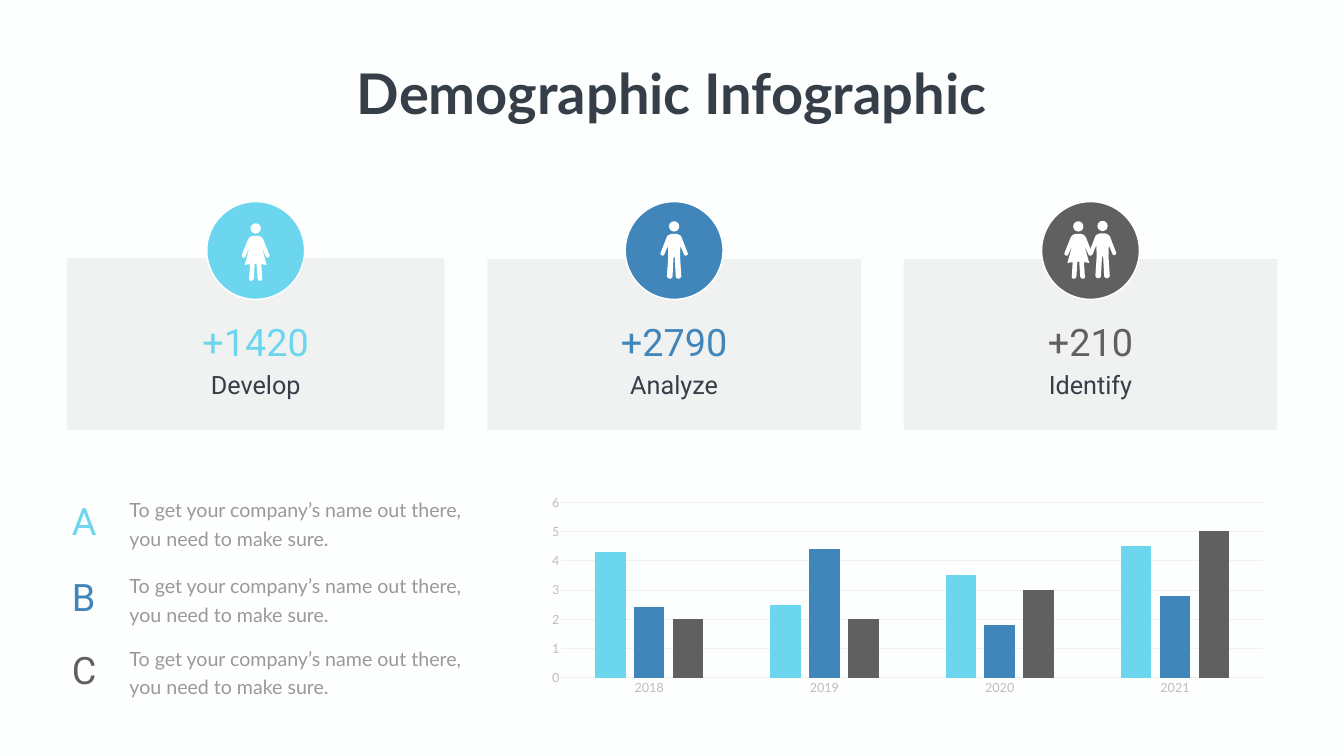
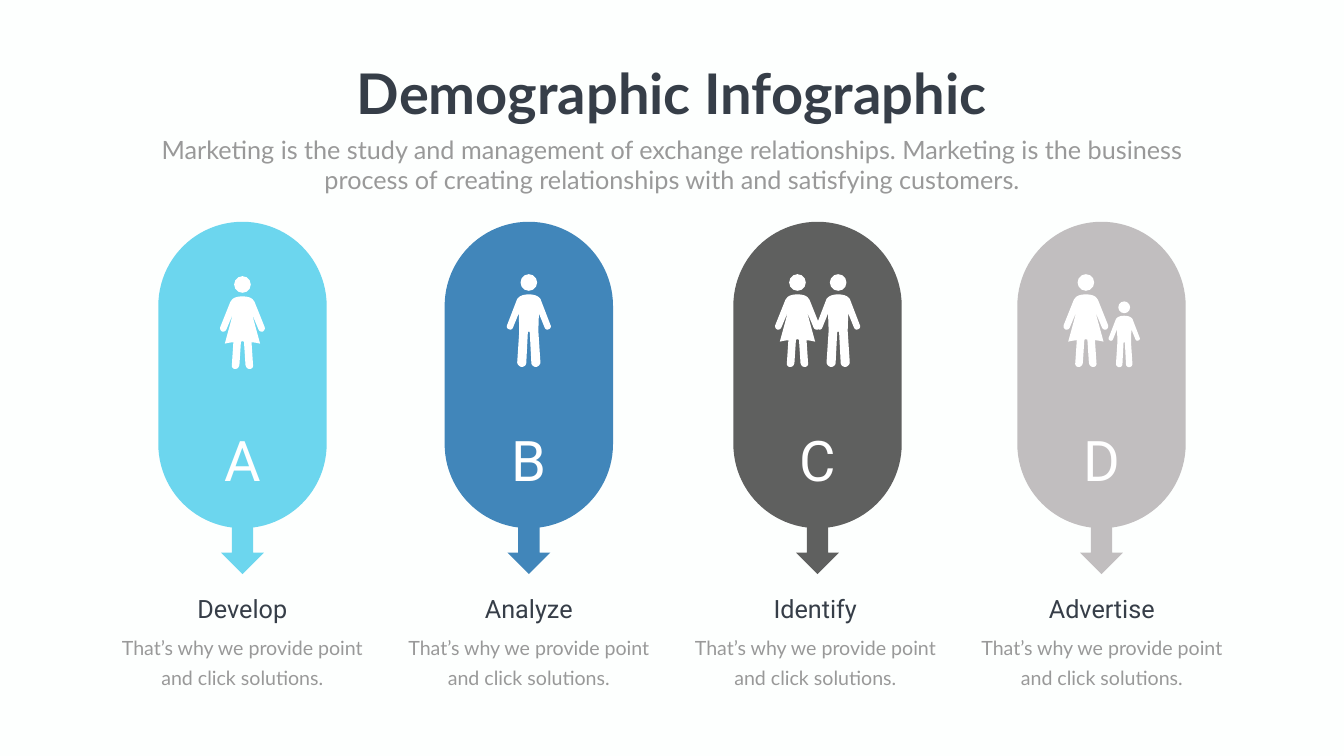
from dataclasses import dataclass

from lxml import etree
from pptx import Presentation
from pptx.chart.data import CategoryChartData
from pptx.dml.color import RGBColor
from pptx.enum.chart import XL_CHART_TYPE, XL_TICK_MARK
from pptx.enum.shapes import MSO_SHAPE
from pptx.enum.text import MSO_AUTO_SIZE, PP_ALIGN
from pptx.oxml.ns import qn
from pptx.util import Pt

COLORS = {
    "background": "FDFFFE",
    "dark": "363E48",
    "body": "999999",
    "axis": "BDBDBD",
    "grid": "F0F0F0",
    "panel": "808080",
    "white": "FFFFFF",
    "cyan": "6CD6EE",
    "blue": "4186BA",
    "gray": "5F605F",
    "silver": "C1BEBF",
}
HEADING_FONT = "Roboto"
BODY_FONT = "Lato"

MAN = [
    (0, 40), (16, 40, 21, 47, 21, 47), (23, 49), (43, 101),
    (45, 104, 43, 108, 40, 109), (37, 110), (34, 110, 32, 108, 31, 105),
    (20, 78), (19, 109), (19, 114), (23, 175),
    (23, 179, 19, 183, 15, 184), (14, 184), (9, 184, 5, 180, 5, 176),
    (2, 117), (2, 117, 2, 114, 0, 114),
]
WOMAN = [
    (0, 40), (17, 40, 21, 47, 21, 47), (24, 51), (44, 101),
    (45, 104, 44, 108, 40, 110), (38, 110), (35, 110, 33, 108, 32, 106),
    (19, 75), (35, 134), (35, 134, 29, 132, 18, 131), (21, 176),
    (22, 180, 19, 184, 15, 184), (14, 184), (10, 184, 7, 181, 6, 176),
    (3, 130), (2, 130, 1, 129, 0, 129),
]
HEAD_SIZE = 33
FIGURE_UNIT = 0.72
CURVE_STEPS = 6


@dataclass
class Figure:
    outline: list
    top: float
    dx: float = 0
    scale: float = 1


@dataclass
class Card:
    center: float
    width: float
    top: float
    color: str
    number: str
    label: str
    figures: list


@dataclass
class Point:
    letter: str
    color: str
    top: float


@dataclass
class Column:
    letter: str
    label: str
    color: str
    center: float
    figures: list


@dataclass
class TextStyle:
    size: float
    color: str
    font: str = BODY_FONT
    bold: bool = False
    align: PP_ALIGN = PP_ALIGN.CENTER
    spacing: float | None = None


TITLE = TextStyle(80, "dark", bold=True)
SUBTITLE = TextStyle(36, "body")
LABEL = TextStyle(36, "dark", HEADING_FONT)
POINT_TEXT = TextStyle(28, "body", align=PP_ALIGN.LEFT, spacing=40.8)
CAPTION = TextStyle(28, "body", spacing=43)
PILL_LETTER = TextStyle(80, "white", HEADING_FONT)

CARDS = [
    Card(365.2, 539.28, 368.64, "cyan", "+1420", "Develop",
         [Figure(WOMAN, 318.96, scale=0.62)]),
    Card(962.8, 533.52, 370.08, "blue", "+2790", "Analyze",
         [Figure(MAN, 316.08, scale=0.62)]),
    Card(1557.5, 533.52, 370.08, "gray", "+210", "Identify",
         [Figure(MAN, 315.4, 17.2, 0.62), Figure(WOMAN, 316.08, -17.4, 0.62)]),
]
POINTS = [
    Point("A", "cyan", 700.56),
    Point("B", "blue", 809.1),
    Point("C", "gray", 912.96),
]
COLUMNS = [
    Column("A", "Develop", "cyan", 346.32, [Figure(WOMAN, 394.56)]),
    Column("B", "Analyze", "blue", 755.28, [Figure(MAN, 391.68)]),
    Column("C", "Identify", "gray", 1167.6,
           [Figure(MAN, 391.68, 29.5), Figure(WOMAN, 391.68, -28.6)]),
    Column("D", "Advertise", "silver", 1573.2,
           [Figure(WOMAN, 391.68, -22.3), Figure(MAN, 430.56, 32.4, 0.71)]),
]


def rgb(name: str) -> RGBColor:
    return RGBColor.from_string(COLORS[name])


def paint(shape, color: str) -> None:
    shape.shadow.inherit = False
    shape.fill.solid()
    shape.fill.fore_color.rgb = rgb(color)
    shape.line.fill.background()


def add_block(shapes, kind: MSO_SHAPE, left: float, top: float,
              width: float, height: float, color: str):
    shape = shapes.add_shape(kind, Pt(left), Pt(top), Pt(width), Pt(height))
    paint(shape, color)
    return shape


def add_text(slide, text: str, left: float, top: float, width: float,
             height: float, style: TextStyle, wrap: bool = True) -> None:
    box = slide.shapes.add_textbox(Pt(left), Pt(top), Pt(width), Pt(height))
    frame = box.text_frame
    frame.word_wrap = wrap
    frame.auto_size = MSO_AUTO_SIZE.SHAPE_TO_FIT_TEXT
    paragraph = frame.paragraphs[0]
    paragraph.alignment = style.align
    if style.spacing:
        paragraph.line_spacing = Pt(style.spacing)
    run = paragraph.add_run()
    run.text = text
    run.font.size = Pt(style.size)
    run.font.name = style.font
    run.font.bold = style.bold
    run.font.color.rgb = rgb(style.color)


def add_centered(slide, text: str, center: float, top: float, width: float,
                 height: float, style: TextStyle) -> None:
    add_text(slide, text, center - width / 2, top, width, height, style)


def trace(outline: list) -> list[tuple[float, float]]:
    points = [outline[0]]
    for step in outline[1:]:
        if len(step) == 2:
            points.append(step)
            continue
        nodes = [points[-1], step[:2], step[2:4], step[4:]]
        for i in range(1, CURVE_STEPS + 1):
            t = i / CURVE_STEPS
            weights = ((1 - t) ** 3, 3 * t * (1 - t) ** 2,
                       3 * t ** 2 * (1 - t), t ** 3)
            points.append(tuple(sum(w * node[axis] for w, node in zip(weights, nodes))
                                for axis in (0, 1)))
    return points


def add_figures(slide, center: float, figures: list[Figure]) -> None:
    group = slide.shapes.add_group_shape()
    for figure in figures:
        unit = FIGURE_UNIT * figure.scale
        middle = center + figure.dx
        right = trace(figure.outline)
        left = [(-x, y) for x, y in reversed(right[1:-1])]
        body = [(Pt(middle + x * unit), Pt(figure.top + y * unit))
                for x, y in right + left]
        builder = group.shapes.build_freeform(*body[0])
        builder.add_line_segments(body[1:], close=True)
        paint(builder.convert_to_shape(), "white")
        size = HEAD_SIZE * unit
        add_block(group.shapes, MSO_SHAPE.OVAL, middle - size / 2, figure.top,
                  size, size, "white")


def add_card(slide, card: Card) -> None:
    panel = add_block(slide.shapes, MSO_SHAPE.RECTANGLE, card.center - card.width / 2,
                      card.top, card.width, 614.16 - card.top, "panel")
    fill = panel.fill.fore_color.rgb and panel._element.spPr.find(qn("a:solidFill"))
    etree.SubElement(fill[0], qn("a:alpha"), val="10000")
    badge = add_block(slide.shapes, MSO_SHAPE.OVAL, card.center - 69.84, 288,
                      139.68, 139.68, card.color)
    badge.line.color.rgb = rgb("white")
    badge.line.width = Pt(2)
    add_figures(slide, card.center, card.figures)
    add_centered(slide, card.number, card.center, 451.44, 234, 72.72,
                 TextStyle(54, card.color, HEADING_FONT))
    add_centered(slide, card.label, card.center, 524.16, 411.84, 51.12, LABEL)


def add_point(slide, point: Point) -> None:
    add_text(slide, point.letter, 95.76, point.top + 7, 82.08, 72.72,
             TextStyle(54, point.color, HEADING_FONT, align=PP_ALIGN.LEFT))
    add_text(slide, "To get your company’s name out there, you need to make sure.",
             177.84, point.top, 507.6, 85.68, POINT_TEXT)


def add_column(slide, column: Column, text_center: float) -> None:
    center = column.center
    add_block(slide.shapes, MSO_SHAPE.DOWN_ARROW, center - 30.6, 726.48,
              61.2, 93.6, column.color)
    pill = add_block(slide.shapes, MSO_SHAPE.ROUNDED_RECTANGLE, center - 120.24, 316.8,
                     240.48, 437.76, column.color)
    pill.adjustments[0] = 0.5
    add_figures(slide, center, column.figures)
    add_centered(slide, column.letter, center, 604.8, 123.12, 104.4, PILL_LETTER)
    add_centered(slide, column.label, text_center, 844.56, 363.6, 51.12, LABEL)
    add_centered(slide, "That’s why we provide point and click solutions.",
                 text_center, 895.68, 363.6, 89.28, CAPTION)


def style_font(font, color: str) -> None:
    font.size = Pt(18)
    font.name = BODY_FONT
    font.color.rgb = rgb(color)


def add_column_chart(slide) -> None:
    data = CategoryChartData()
    data.categories = ["2018", "2019", "2020", "2021"]
    data.add_series("Series 1", (4.3, 2.5, 3.5, 4.5))
    data.add_series("Series 2", (2.4, 4.4, 1.8, 2.8))
    data.add_series("Series 3", (2, 2, 3, 5))
    chart = slide.shapes.add_chart(XL_CHART_TYPE.COLUMN_CLUSTERED, Pt(767.52), Pt(700.56),
                                   Pt(1056.96), Pt(298.08), data).chart
    chart.has_title = False
    chart.has_legend = False
    style_font(chart.font, "body")
    plot = chart.plots[0]
    plot.gap_width = 219
    plot.overlap = -27
    plot.vary_by_categories = False
    for series, color in zip(plot.series, ("cyan", "blue", "gray")):
        series.format.fill.solid()
        series.format.fill.fore_color.rgb = rgb(color)
    for axis in (chart.category_axis, chart.value_axis):
        axis.major_tick_mark = XL_TICK_MARK.NONE
        axis.minor_tick_mark = XL_TICK_MARK.NONE
        style_font(axis.tick_labels.font, "axis")
    chart.value_axis.minimum_scale = 0
    chart.value_axis.maximum_scale = 6
    chart.value_axis.major_unit = 1
    chart.value_axis.format.line.fill.background()
    for line in (chart.category_axis.format.line,
                 chart.value_axis.major_gridlines.format.line):
        line.color.rgb = rgb("grid")
        line.width = Pt(0.75)


def new_slide(prs):
    slide = prs.slides.add_slide(prs.slide_layouts[6])
    slide.background.fill.solid()
    slide.background.fill.fore_color.rgb = rgb("background")
    add_text(slide, "Demographic Infographic", 493.92, 80.64, 930.96, 104.4, TITLE, wrap=False)
    return slide


def main() -> None:
    prs = Presentation()
    prs.slide_width = Pt(1919.52)
    prs.slide_height = Pt(1080)

    overview = new_slide(prs)
    for card in CARDS:
        add_card(overview, card)
    for point in POINTS:
        add_point(overview, point)
    add_column_chart(overview)

    groups = new_slide(prs)
    add_text(groups, "Marketing is the study and management of exchange relationships. "
             "Marketing is the business process of creating relationships with and "
             "satisfying customers.", 210.24, 187.92, 1499.04, 94.32, SUBTITLE)
    for index, column in enumerate(COLUMNS):
        add_column(groups, column, 346 + index * 409.2)

    prs.save("out.pptx")


main()
